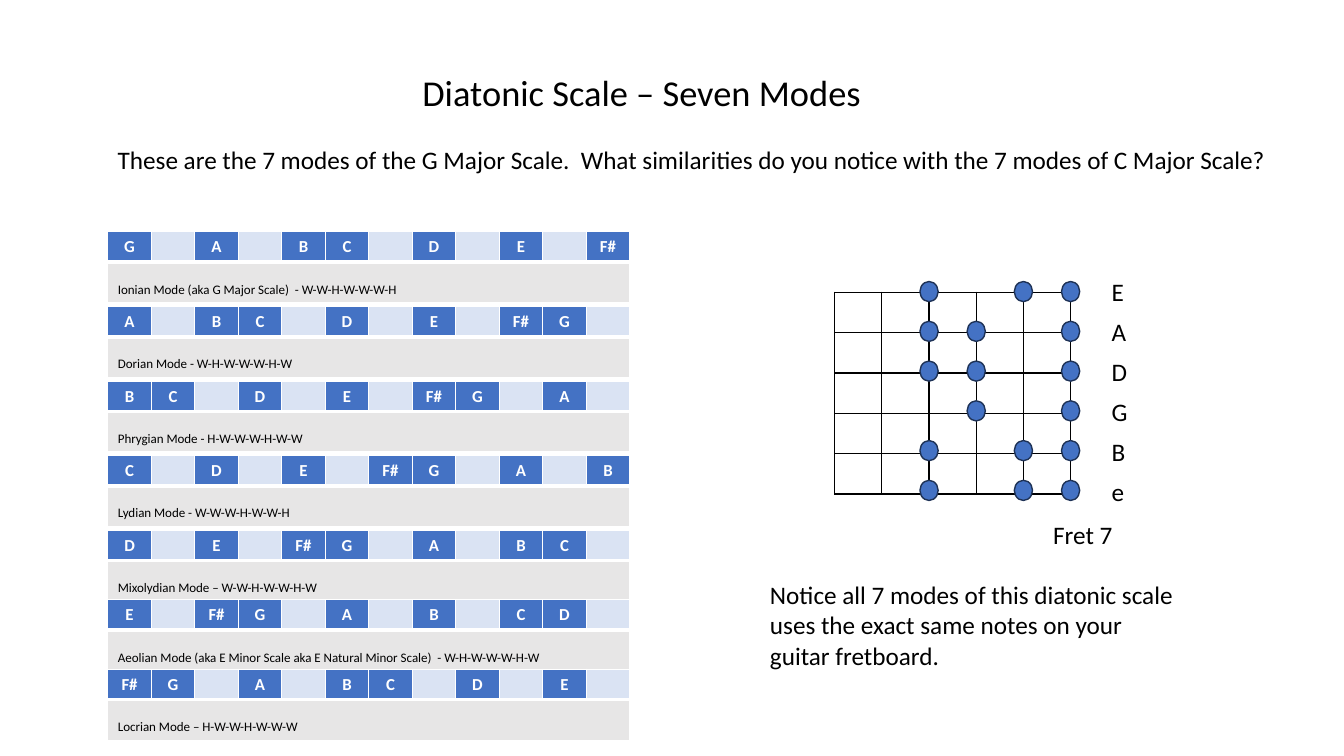
from dataclasses import dataclass
from itertools import accumulate

from lxml import etree
from pptx import Presentation
from pptx.dml.color import RGBColor
from pptx.enum.shapes import MSO_SHAPE
from pptx.enum.text import MSO_ANCHOR, PP_ALIGN
from pptx.oxml.ns import qn
from pptx.util import Pt

OVAL = MSO_SHAPE.OVAL
TOP = MSO_ANCHOR.TOP
MIDDLE = MSO_ANCHOR.MIDDLE
LEFT = PP_ALIGN.LEFT
CENTER = PP_ALIGN.CENTER


@dataclass(frozen=True)
class Theme:
    font: str = "Calibri"
    ink: str = "000000"
    paper: str = "FFFFFF"
    note: str = "4472C4"
    gap: str = "DAE3F3"
    label: str = "E7E6E6"
    dot_line: str = "1E3256"
    title_size: float = 26
    body_size: float = 18
    label_size: float = 16
    note_size: float = 12


THEME = Theme()
SCALE = ["G", "A", "B", "C", "D", "E", "F#"]
STEPS = {"W": 2, "H": 1}
MODES = [
    ("Ionian Mode (aka G Major Scale)  - ", "W-W-H-W-W-W-H", 165.6),
    ("Dorian Mode - ", "W-H-W-W-W-H-W", 218.9),
    ("Phrygian Mode - ", "H-W-W-W-H-W-W", 272.2),
    ("Lydian Mode - ", "W-W-W-H-W-W-H", 325.5),
    ("Mixolydian Mode – ", "W-W-H-W-W-H-W", 378.7),
    ("Aeolian Mode (aka E Minor Scale aka E Natural Minor Scale)  - ", "W-H-W-W-W-H-W", 428.4),
    ("Locrian Mode – ", "H-W-W-H-W-W-W", 478.1),
]
STRINGS = [
    ("E", (2, 4, 5)),
    ("A", (2, 3, 5)),
    ("D", (2, 3, 5)),
    ("G", (3, 5)),
    ("B", (2, 4, 5)),
    ("e", (2, 4, 5)),
]


def add_span(para, text, size, color=THEME.ink, bold=False):
    span = para.add_run()
    span.text = text
    span.font.name = THEME.font
    span.font.size = Pt(size)
    span.font.bold = bold
    span.font.color.rgb = RGBColor.from_string(color)
    return span


def fill_text(box, lines, size):
    frame = box.text_frame
    frame.word_wrap = False
    frame.vertical_anchor = TOP
    para = frame.paragraphs[0]
    para.alignment = LEFT
    for index, line in enumerate(lines):
        if index:
            para.add_line_break()
        add_span(para, line, size)


def add_text(page, left, top, width, height, *lines):
    box = page.shapes.add_textbox(Pt(left), Pt(top), Pt(width), Pt(height))
    fill_text(box, lines, THEME.body_size)


def set_borders(cell, color, **widths):
    properties = cell._tc.get_or_add_tcPr()
    for side in "LRTB":
        line = etree.SubElement(properties, qn(f"a:ln{side}"), w=str(Pt(widths.get(side, 1))))
        solid = etree.SubElement(line, qn("a:solidFill"))
        etree.SubElement(solid, qn("a:srgbClr"), val=color)


def set_fill(cell, color):
    cell.fill.solid()
    cell.fill.fore_color.rgb = RGBColor.from_string(color)


def shrink_empty(cell):
    para = cell.text_frame.paragraphs[0]
    etree.SubElement(para._p, qn("a:endParaRPr"), sz=str(int(THEME.note_size * 100)))


def add_grid(page, left, top, width, heights, columns):
    frame = page.shapes.add_table(len(heights), columns, Pt(left), Pt(top), Pt(width), Pt(sum(heights)))
    grid = frame.table
    grid.first_row = False
    grid.horz_banding = False
    for row, height in zip(grid.rows, heights):
        row.height = Pt(height)
    for column in grid.columns:
        column.width = Pt(width / columns)
    return grid


def add_mode(page, left, top, width, degree, name, pattern):
    grid = add_grid(page, left, top, width, (21.6, 28), 12)
    offsets = accumulate((STEPS[step] for step in pattern.split("-")[:-1]), initial=0)
    notes = {offset: SCALE[(degree + index) % 7] for index, offset in enumerate(offsets)}
    for semitone in range(12):
        cell = grid.cell(0, semitone)
        set_borders(cell, THEME.paper, B=3)
        cell.vertical_anchor = MIDDLE
        cell.margin_left = cell.margin_right = Pt(2)
        if semitone in notes:
            set_fill(cell, THEME.note)
            para = cell.text_frame.paragraphs[0]
            para.alignment = CENTER
            add_span(para, notes[semitone], THEME.note_size, THEME.paper, True)
        else:
            set_fill(cell, THEME.gap)
            shrink_empty(cell)
    for semitone in range(1, 12):
        shrink_empty(grid.cell(1, semitone))
    label = grid.cell(1, 0)
    label.merge(grid.cell(1, 11))
    set_borders(label, THEME.paper, T=3)
    set_fill(label, THEME.label)
    span = add_span(label.text_frame.paragraphs[0], name + pattern, THEME.label_size)
    span.font._element.set("baseline", "-25000")


def add_dot(page, center_x, center_y):
    width, height = 13, 14.4
    dot = page.shapes.add_shape(
        OVAL, Pt(center_x - width / 2), Pt(center_y - height / 2), Pt(width), Pt(height))
    dot.shadow.inherit = False
    dot.fill.solid()
    dot.fill.fore_color.rgb = RGBColor.from_string(THEME.note)
    dot.line.color.rgb = RGBColor.from_string(THEME.dot_line)
    dot.line.width = Pt(1)


def add_fretboard(page, left, top, width, height):
    grid = add_grid(page, left, top, width, [height / 5] * 5, 5)
    for cell in grid.iter_cells():
        set_borders(cell, THEME.ink)
        cell.fill.background()
        shrink_empty(cell)
    for index, (string, frets) in enumerate(STRINGS):
        add_text(page, left + 190.8, top - 15 + 28.6 * index, 25, 29, string)
        for fret in frets:
            add_dot(page, left + fret * width / 5, top - 0.5 + 28.4 * index)
    add_text(page, left + 149, top + 158.4, 57.6, 29, "Fret 7")


def add_modes_page(deck):
    page = deck.slides.add_slide(deck.slide_layouts[5])
    title = page.shapes.title
    title.left, title.top, title.width, title.height = Pt(294.5), Pt(46.8), Pt(330.5), Pt(38.9)
    fill_text(title, ["Diatonic Scale – Seven Modes"], THEME.title_size)
    add_text(page, 77, 99.4, 844.6, 29,
             "These are the 7 modes of the G Major Scale.  "
             "What similarities do you notice with the 7 modes of C Major Scale?")
    for degree, (name, pattern, top) in enumerate(MODES):
        add_mode(page, 77, top, 373, degree, name, pattern)
    add_fretboard(page, 596.2, 208.8, 168.5, 144)
    add_text(page, 542.9, 410.4, 306, 72.7,
             "Notice all 7 modes of this diatonic scale",
             "uses the exact same notes on your",
             "guitar fretboard.")


def main():
    deck = Presentation()
    deck.slide_width, deck.slide_height = Pt(960), Pt(540)
    add_modes_page(deck)
    deck.save("out.pptx")


if __name__ == "__main__":
    main()
